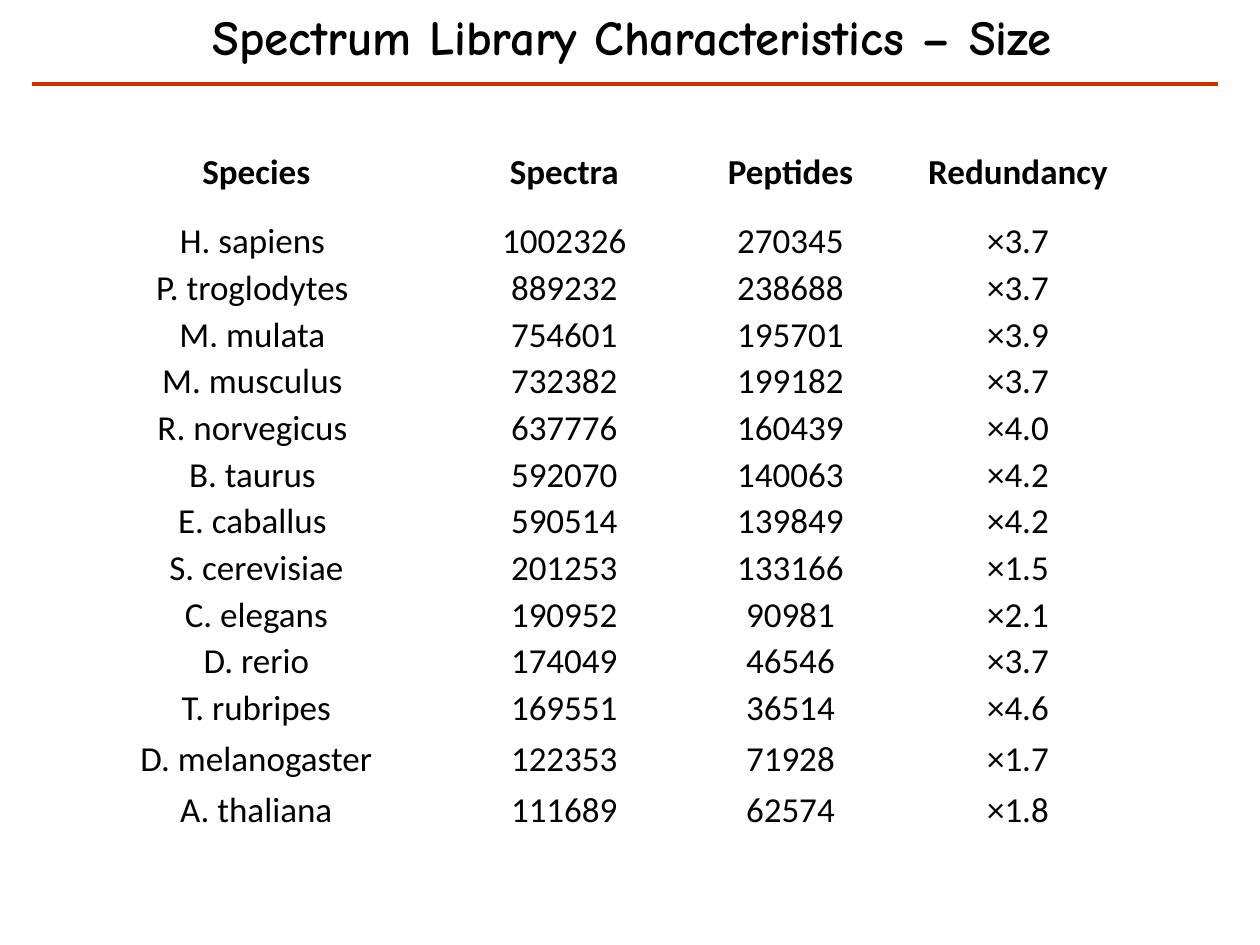
from lxml import etree
from pptx import Presentation
from pptx.dml.color import RGBColor
from pptx.enum import shapes, text
from pptx.oxml import ns
from pptx.util import Pt

COLORS = {"ink": "000000", "rule": "CC3300"}
TITLE_FONT = {"name": "Comic Neue", "size": Pt(28), "bold": True}
BODY_FONT = {"name": "Calibri", "size": Pt(20), "bold": False}
HEADER_FONT = {**BODY_FONT, "bold": True}
CELL_FORMAT = {
    "vertical_anchor": text.MSO_ANCHOR.MIDDLE,
    "margin_left": Pt(0.75),
    "margin_right": Pt(0.75),
    "margin_top": Pt(0.75),
    "margin_bottom": Pt(0),
}
TITLE_FORMAT = {
    "word_wrap": False,
    "auto_size": text.MSO_AUTO_SIZE.SHAPE_TO_FIT_TEXT,
    "vertical_anchor": text.MSO_ANCHOR.TOP,
}
HEADERS = ["Species", "Spectra", "Peptides", "Redundancy"]
LIBRARIES = [
    ("H. sapiens ", 1002326, 270345, "×3.7"),
    ("P. troglodytes ", 889232, 238688, "×3.7"),
    ("M. mulata ", 754601, 195701, "×3.9"),
    ("M. musculus ", 732382, 199182, "×3.7"),
    ("R. norvegicus ", 637776, 160439, "×4.0"),
    ("B. taurus ", 592070, 140063, "×4.2"),
    ("E. caballus ", 590514, 139849, "×4.2"),
    ("S. cerevisiae", 201253, 133166, "×1.5"),
    ("C. elegans", 190952, 90981, "×2.1"),
    ("D. rerio", 174049, 46546, "×3.7"),
    ("T. rubripes", 169551, 36514, "×4.6"),
    ("D. melanogaster", 122353, 71928, "×1.7"),
    ("A. thaliana", 111689, 62574, "×1.8"),
]
COLUMN_WIDTHS = [221, 131, 127.5, 132.5]
ROW_HEIGHTS = [52.5] + [26.68] * 11 + [31.5, 26.68]


def apply(target, values):
    for attribute, value in values.items():
        setattr(target, attribute, value)


def write(frame, content, font):
    frame.text = str(content)
    paragraph = frame.paragraphs[0]
    paragraph.alignment = text.PP_ALIGN.CENTER
    run_font = paragraph.runs[0].font
    apply(run_font, font)
    run_font.color.rgb = RGBColor.from_string(COLORS["ink"])


def add_heading(slide, left, top, width, height):
    title = slide.shapes.title
    apply(title, {"left": Pt(left), "top": Pt(top),
                  "width": Pt(width), "height": Pt(height)})
    write(title.text_frame, "Spectrum Library Characteristics – Size", TITLE_FONT)
    apply(title.text_frame, TITLE_FORMAT)


def add_rule(slide, left, top, width):
    rule = slide.shapes.add_connector(
        shapes.MSO_CONNECTOR.STRAIGHT, Pt(left), Pt(top), Pt(left + width), Pt(top))
    rule.line.color.rgb = RGBColor.from_string(COLORS["rule"])
    rule.line.width = Pt(2.5)
    etree.SubElement(rule._element.spPr, ns.qn("a:effectLst"))


def add_library_table(slide, left, top):
    rows = [HEADERS, *LIBRARIES]
    table = slide.shapes.add_table(
        len(rows), len(HEADERS), Pt(left), Pt(top),
        Pt(sum(COLUMN_WIDTHS)), Pt(sum(ROW_HEIGHTS))).table
    apply(table, {"first_row": False, "horz_banding": False})
    for column, width in zip(table.columns, COLUMN_WIDTHS):
        column.width = Pt(width)
    for index, (row, height, values) in enumerate(zip(table.rows, ROW_HEIGHTS, rows)):
        row.height = Pt(height)
        for cell, value in zip(row.cells, values):
            apply(cell, CELL_FORMAT)
            cell.fill.background()
            write(cell.text_frame, value, BODY_FONT if index else HEADER_FONT)


def main():
    deck = Presentation()
    apply(deck, {"slide_width": Pt(720), "slide_height": Pt(540)})
    slide = deck.slides.add_slide(deck.slide_layouts[5])
    add_heading(slide, 76.5, 0, 569.5, 41)
    add_rule(slide, 18, 48, 678)
    add_library_table(slide, 36, 72)
    deck.save("out.pptx")


if __name__ == "__main__":
    main()
